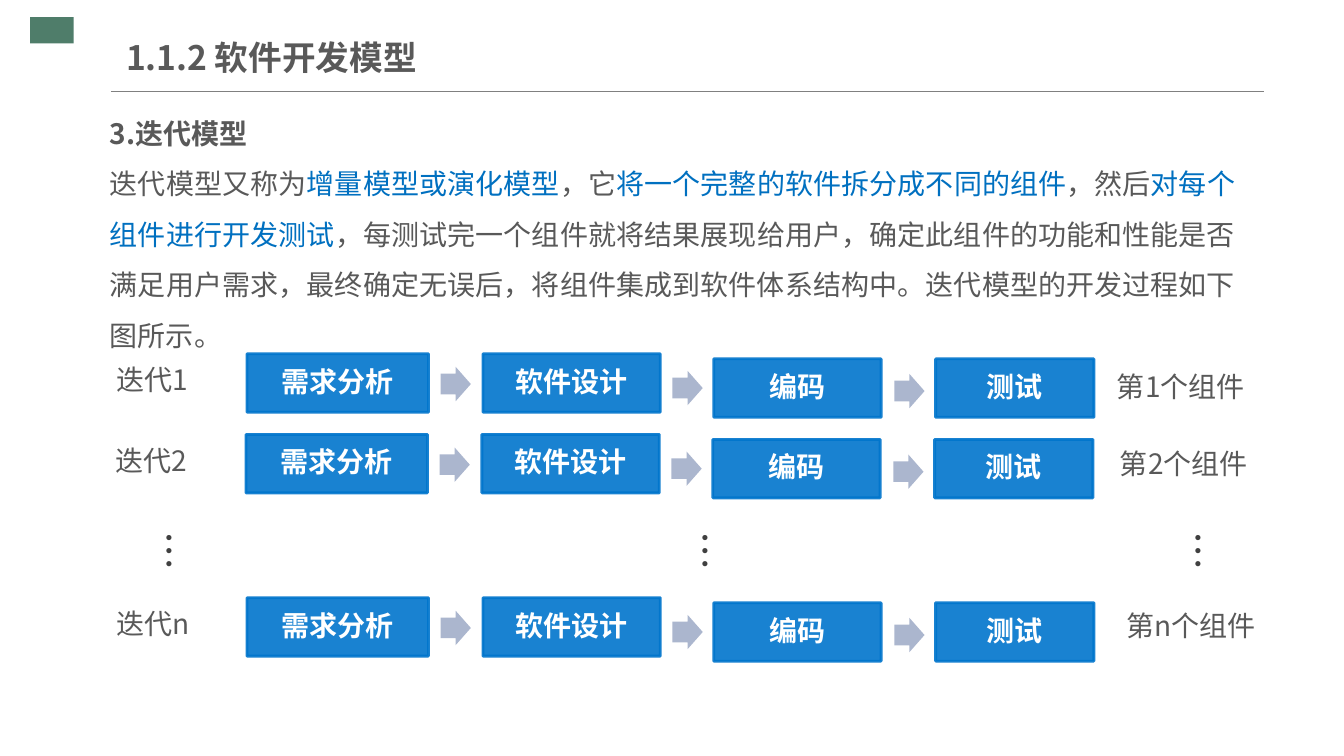
from pptx import Presentation
from pptx.dml.color import RGBColor as RGB
from pptx.enum.shapes import MSO_CONNECTOR as Link, MSO_SHAPE as Shape
from pptx.enum.text import MSO_ANCHOR as Anchor, PP_ALIGN as Align
from pptx.oxml.ns import qn
from pptx.util import Inches, Pt
from lxml.etree import SubElement

FONT = "Noto Sans CJK SC"
COLORS = {"text": "595959", "key": "0070C0", "box": "0075CC", "arrow": "ABB6CE",
          "tab": "4F7D6A", "rule": "808080", "dots": "404040", "white": "FFFFFF"}

TITLE = "1.1.2 软件开发模型"
HEAD = "3.迭代模型"
BODY = [
    ("迭代模型又称为", "text"),
    ("增量模型或演化模型", "key"),
    ("，它", "text"),
    ("将一个完整的软件拆分成不同的组件", "key"),
    ("，然后", "text"),
    ("对每个组件进行开发测试", "key"),
    ("，每测试完一个组件就将结果展现给用户，确定此组件的功能和性能是否满足用户需求，"
     "最终确定无误后，将组件集成到软件体系结构中。迭代模型的开发过程如下图所示。", "text"),
]
STEPS = [("需求分析", 2.45, 0, 1.8), ("软件设计", 4.79, 0, 1.76),
         ("编码", 7.08, 0.05, 1.66), ("测试", 9.28, 0.05, 1.57)]
ARROWS = [(4.37, 0.13), (6.67, 0.17), (8.87, 0.2)]
ROWS = [("1", 0, 3.51, 10.98, 3.62, 1.59),
        ("2", -0.01, 4.31, 11.01, 4.38, 1.5),
        ("n", 0, 5.93, 11.07, 5.99, 1.56)]
DOTS = [1.3, 6.62, 11.51]


def write(shape, paras, size=20, color="text", bold=False, align=Align.LEFT,
          anchor=Anchor.TOP, space=1.0, pad=(0.1, 0.05)):
    frame = shape.text_frame
    frame.word_wrap = True
    frame.vertical_anchor = anchor
    frame.margin_left = frame.margin_right = Inches(pad[0])
    frame.margin_top = frame.margin_bottom = Inches(pad[1])
    for i, runs in enumerate(paras):
        para = frame.add_paragraph() if i else frame.paragraphs[0]
        para.alignment = align
        para.line_spacing = space
        for text, tint, heavy in runs:
            run = para.add_run()
            run.text = text
            font = run.font
            font.size = Pt(size)
            font.bold = heavy or bold
            font.name = FONT
            font.color.rgb = RGB.from_string(COLORS[tint or color])
            SubElement(font._element, qn("a:ea")).set("typeface", FONT)


def plain(text):
    return [[(text, None, False)]]


def area(x, y, w, h):
    return [Inches(v) for v in (x, y, w, h)]


def label(text, *box, **style):
    shape = slide.shapes.add_textbox(*area(*box))
    write(shape, plain(text) if isinstance(text, str) else text, **style)
    return shape


def block(kind, color, *box):
    shape = slide.shapes.add_shape(kind, *area(*box))
    shape.shadow.inherit = False
    shape.fill.solid()
    shape.fill.fore_color.rgb = RGB.from_string(COLORS[color])
    shape.line.fill.background()
    return shape


def step(text, *box):
    shape = block(Shape.RECTANGLE, "box", *box)
    shape.line.color.rgb = RGB.from_string(COLORS["box"])
    shape.line.width = Pt(2)
    for tint in shape._element.spPr.iter(qn("a:srgbClr")):
        SubElement(tint, qn("a:alpha")).set("val", "90000")
    write(shape, plain(text), color="white", bold=True, align=Align.CENTER,
          anchor=Anchor.MIDDLE, space=0.9, pad=(0.21, 0.04))


deck = Presentation()
deck.slide_width, deck.slide_height = Inches(13.33), Inches(7.5)
slide = deck.slides.add_slide(deck.slide_layouts[5])

block(Shape.RECTANGLE, "tab", 0.3, 0.17, 0.43, 0.26)
rule = slide.shapes.add_connector(Link.STRAIGHT, *area(1.1, 0.91, 12.54, 0.91))
rule.line.color.rgb = RGB.from_string(COLORS["rule"])
rule.line.width = Pt(0.75)
SubElement(rule._element.spPr, qn("a:effectLst"))

title = slide.shapes.title
title.left, title.top, title.width, title.height = area(1.25, 0.29, 4.26, 0.55)
write(title, plain(TITLE), size=24, bold=True, anchor=Anchor.MIDDLE, pad=(0, 0.07))

for mark, dx, top, x, y, w in ROWS:
    for name, left, drop, wide in STEPS:
        step(name, left + dx, top + drop, wide, 0.58)
    for left, drop in ARROWS:
        arrow = block(Shape.RIGHT_ARROW, "arrow", left + dx, top + drop, 0.3, 0.34)
        arrow.adjustments[0] = 0.6
    label("迭代" + mark, 1.06 + dx, top + 0.04, 1.18, 0.44)
    label(f"第{mark}个组件", x, y, w, 0.44)

label([[(HEAD, "text", True)], [(text, tint, False) for text, tint in BODY]],
      0.96, 0.92, 11.42, 2.76, align=Align.JUSTIFY, space=1.5, pad=(0.13, 0.07))

for x in DOTS:
    dots = label("…", x, 5.17, 0.67, 0.48, size=28, color="dots")
    dots.text_frame._txBody.bodyPr.set("vert", "eaVert")

deck.save("out.pptx")
